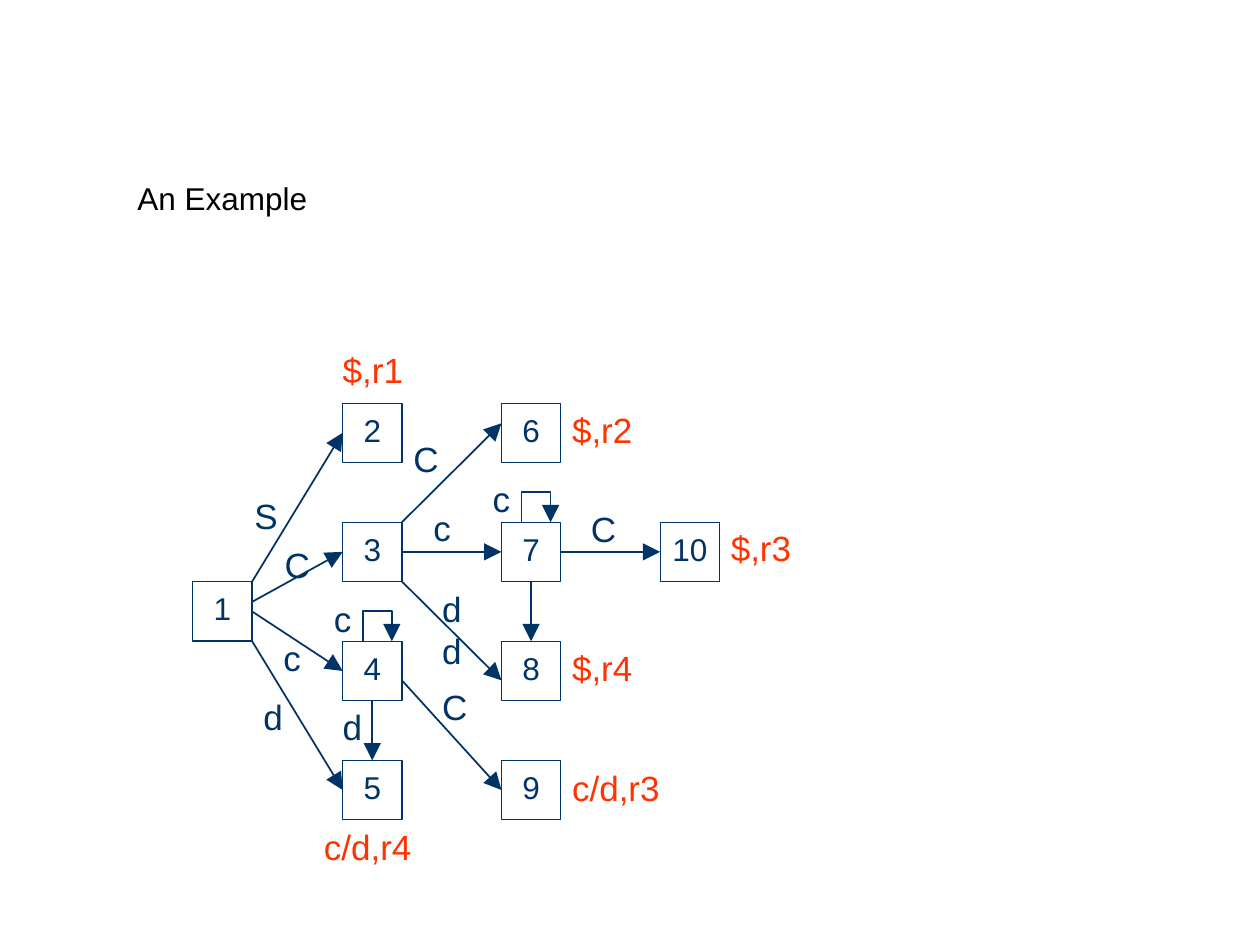
from pptx import Presentation
from pptx.dml.color import RGBColor
from pptx.enum.shapes import MSO_CONNECTOR, MSO_SHAPE
from pptx.enum.text import MSO_ANCHOR, PP_ALIGN
from pptx.oxml.ns import qn
from pptx.util import Inches, Pt
from lxml.etree import SubElement

HUES = {"title": "000000", "navy": "003366", "red": "FF3300"}

deck = Presentation()
deck.slide_width, deck.slide_height = Inches(10), Inches(7.5)
slide = deck.slides.add_slide(deck.slide_layouts[6])
shapes = slide.shapes


def write(shape, text, size, hue, top=0.01):
    frame = shape.text_frame
    frame.word_wrap = True
    frame.vertical_anchor = MSO_ANCHOR.TOP
    frame.margin_left = frame.margin_right = frame.margin_bottom = 0
    frame.margin_top = Inches(top)
    frame.text = text
    for para in frame.paragraphs:
        para.font.size = Pt(size)
        para.font.name = "Arial"
        para.font.color.rgb = RGBColor.from_string(HUES[hue])
    return frame.paragraphs


def point(shape):
    """Give a line its navy stroke and an arrowhead at its end."""
    shape.line.color.rgb = RGBColor.from_string(HUES["navy"])
    shape.line.width = Pt(1)
    line = shape.line._get_or_add_ln()
    SubElement(line, qn("a:tailEnd"), type="triangle", w="lg", len="lg")


# Title
box = shapes.add_textbox(Inches(1.09), Inches(1.41), Inches(2.89), Inches(0.63))
write(box, "An Example", 18, "title")

# State boxes: name, column, row
SIDE = 0.47
COLS = [1.53, 2.72, 3.98, 5.24]
STATES = [
    ("1", 0, 1.5), ("2", 1, 0), ("3", 1, 1), ("4", 1, 2), ("5", 1, 3),
    ("6", 2, 0), ("7", 2, 1), ("8", 2, 2), ("9", 2, 3), ("10", 3, 1),
]
spots = {}
for name, col, row in STATES:
    left, top = COLS[col], 3.2 + 0.945 * row
    spots[name] = left, top
    state = shapes.add_shape(MSO_SHAPE.RECTANGLE, Inches(left), Inches(top),
                             Inches(SIDE), Inches(SIDE))
    state.shadow.inherit = False
    state.fill.background()
    state.line.color.rgb = RGBColor.from_string(HUES["navy"])
    state.line.width = Pt(0.75)
    write(state, name, 18, "navy", 0.06)[0].alignment = PP_ALIGN.CENTER

# Arrows: start state and place in its box, end state and place in its box
MID = SIDE / 2
EDGES = [
    ("1", SIDE, 0, "2", 0, MID), ("1", SIDE, 0.16, "3", 0, MID),
    ("1", SIDE, MID, "4", 0, MID), ("1", SIDE, SIDE, "5", 0, MID),
    ("3", SIDE, 0, "6", 0, 0.16), ("3", SIDE, MID, "7", 0, MID),
    ("3", SIDE, SIDE, "8", 0, 0.31), ("4", SIDE, 0.31, "9", 0, MID),
    ("4", MID, SIDE, "5", MID, 0), ("7", MID, SIDE, "8", MID, 0),
    ("7", SIDE, MID, "10", 0, MID),
]
for start, dx, dy, end, ex, ey in EDGES:
    (left, top), (right, low) = spots[start], spots[end]
    arrow = shapes.add_connector(
        MSO_CONNECTOR.STRAIGHT, Inches(left + dx), Inches(top + dy),
        Inches(right + ex), Inches(low + ey))
    point(arrow)
    SubElement(arrow._element.spPr, qn("a:effectLst"))

# Loops from a state to itself
for name in ("4", "7"):
    left, top = spots[name]
    near, far, high = left + 0.16, left + 0.39, top - 0.24
    path = shapes.build_freeform(Inches(near), Inches(top))
    path.add_line_segments(
        [(Inches(x), Inches(y)) for x, y in [(near, high), (far, high), (far, top)]],
        close=False)
    loop = path.convert_to_shape()
    loop.shadow.inherit = False
    loop.fill.background()
    point(loop)

# Labels: text, left, top, width, hue
LABELS = [
    ("c", 2.25, 5.04, 0.17, "navy"), ("c", 2.65, 4.73, 0.17, "navy"),
    ("c", 3.91, 3.78, 0.17, "navy"), ("d", 2.09, 5.51, 0.18, "navy"),
    ("d", 2.72, 5.59, 0.18, "navy"), ("C", 4.69, 4.02, 0.23, "navy"),
    ("C", 3.51, 5.43, 0.23, "navy"),
    ("c/d,r4", 2.57, 6.54, 0.72, "red"), ("$,r4", 4.54, 5.12, 0.51, "red"),
    ("c/d,r3", 4.54, 6.07, 0.72, "red"), ("$,r3", 5.8, 4.17, 0.51, "red"),
    ("$,r2", 4.54, 3.23, 0.51, "red"), ("$,r1", 2.72, 2.76, 0.51, "red"),
]
for text, left, top, width, hue in LABELS:
    box = shapes.add_textbox(Inches(left), Inches(top), Inches(width), Inches(0.36))
    write(box, text, 20, hue)

# Paired labels: text, left, top, width, height, second indent, gap, line pitch
PAIRS = [
    ("d\nd", 3.51, 4.65, 0.65, 0.68, 0, 0, 1),
    ("C\nc", 3.28, 3.46, 0.32, 0.91, 0.16, 15.8, 1),
    ("S\nC", 2.02, 3.86, 0.46, 0.67, 0.24, 0, 1.17),
]
for text, left, top, width, height, shift, gap, pitch in PAIRS:
    box = shapes.add_textbox(Inches(left), Inches(top), Inches(width), Inches(height))
    first, second = write(box, text, 20, "navy")
    first.line_spacing = second.line_spacing = float(pitch)
    second.space_before = Pt(gap)
    second._p.get_or_add_pPr().set("marL", str(Inches(shift)))

deck.save("out.pptx")
